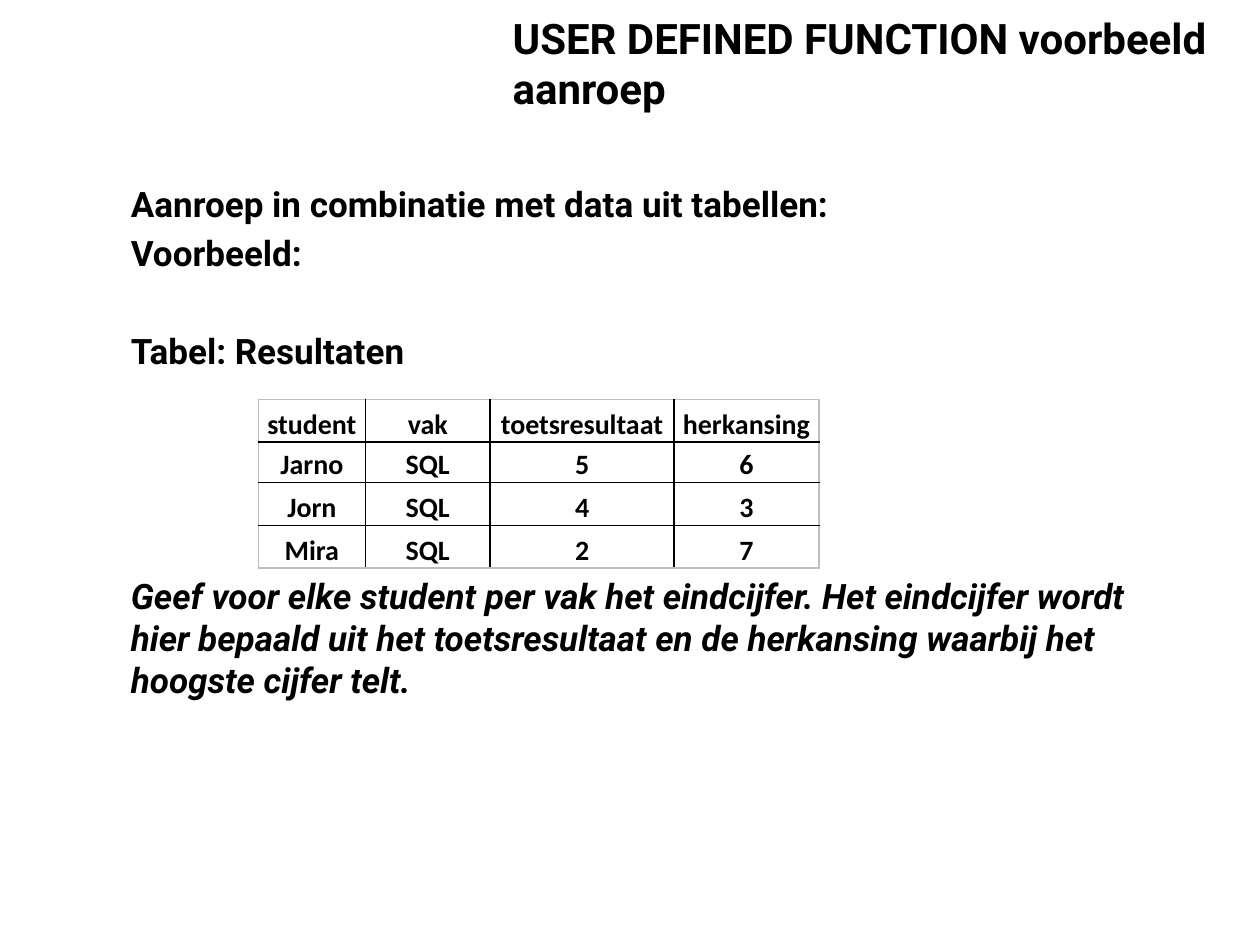
from lxml import etree
from pptx import Presentation
from pptx.dml.color import RGBColor
from pptx.enum.text import MSO_ANCHOR, PP_ALIGN
from pptx.oxml.ns import qn
from pptx.util import Inches, Pt

TOP, BOTTOM = MSO_ANCHOR.TOP, MSO_ANCHOR.BOTTOM
CENTER = PP_ALIGN.CENTER
BLACK, GREY = "000000", "BFBFBF"

TITLE = "USER DEFINED FUNCTION voorbeeld aanroep"
# Text, space before in points, italic; the larger spaces leave room for gaps and the table
BODY = [
    ("Aanroep in combinatie met data uit tabellen:", 4, False),
    ("Voorbeeld:", 4, False),
    ("Tabel: Resultaten", 32, False),
    ("Geef voor elke student per vak het eindcijfer. Het eindcijfer wordt "
     "hier bepaald uit het toetsresultaat en de herkansing waarbij het "
     "hoogste cijfer telt.", 116, True),
]
RESULTS = [
    ("student", "vak", "toetsresultaat", "herkansing"),
    ("Jarno", "SQL", "5", "6"),
    ("Jorn", "SQL", "4", "3"),
    ("Mira", "SQL", "2", "7"),
]
COLUMN_WIDTHS = [0.85, 0.99, 1.46, 1.15]
ROW_HEIGHTS = [0.34, 0.32, 0.34, 0.34]


def color(value):
    return RGBColor.from_string(value)


def format_runs(para, font, size, italic=False):
    for span in para.runs:
        span.font.name = font
        span.font.size = Pt(size)
        span.font.bold = True
        span.font.italic = italic
        span.font.color.rgb = color(BLACK)


def add_text(page, box, lines, size):
    frame = page.shapes.add_textbox(*map(Inches, box)).text_frame
    frame.word_wrap = True
    frame.vertical_anchor = TOP
    frame.text = "\n".join(text for text, _, _ in lines)
    for para, (_, space, italic) in zip(frame.paragraphs, lines):
        para.space_before = Pt(space)
        format_runs(para, "Roboto", size, italic)


def set_borders(cell, colors):
    properties = cell._tc.get_or_add_tcPr()
    for position, (side, value) in enumerate(colors.items()):
        line = etree.Element(qn(f"a:{side}"), w=str(Pt(1)))
        fill = etree.SubElement(line, qn("a:solidFill"))
        etree.SubElement(fill, qn("a:srgbClr"), val=value)
        properties.insert(position, line)


def add_results(page, box):
    row_count, column_count = len(RESULTS), len(COLUMN_WIDTHS)
    table = page.shapes.add_table(row_count, column_count, *map(Inches, box)).table
    table.first_row = table.horz_banding = False
    for column, width in zip(table.columns, COLUMN_WIDTHS):
        column.width = Inches(width)
    for row, height in zip(table.rows, ROW_HEIGHTS):
        row.height = Inches(height)

    for r, values in enumerate(RESULTS):
        for c, value in enumerate(values):
            cell = table.cell(r, c)
            cell.fill.background()
            cell.vertical_anchor = BOTTOM
            cell.margin_left = cell.margin_right = cell.margin_top = Inches(0.01)
            cell.margin_bottom = 0
            cell.text_frame.text = value
            para = cell.text_frame.paragraphs[0]
            para.alignment = CENTER
            format_runs(para, "Calibri", 16)
            # Grey outer frame, black inner grid
            set_borders(cell, {
                "lnL": GREY if c == 0 else BLACK,
                "lnR": GREY if c == column_count - 1 else BLACK,
                "lnT": GREY if r == 0 else BLACK,
                "lnB": GREY if r == row_count - 1 else BLACK,
            })


def main():
    deck = Presentation()
    deck.slide_width, deck.slide_height = Inches(10), Inches(7.5)
    page = deck.slides.add_slide(deck.slide_layouts[6])
    # Title
    add_text(page, (3.97, 0.05, 5.82, 0.47), [(TITLE, 0, False)], 24)
    # Explanation around the table
    add_text(page, (0.94, 1.4, 8.17, 5.29), BODY, 20)
    # Table of results
    add_results(page, (2.05, 3.17, sum(COLUMN_WIDTHS), sum(ROW_HEIGHTS)))
    deck.save("out.pptx")


if __name__ == "__main__":
    main()
